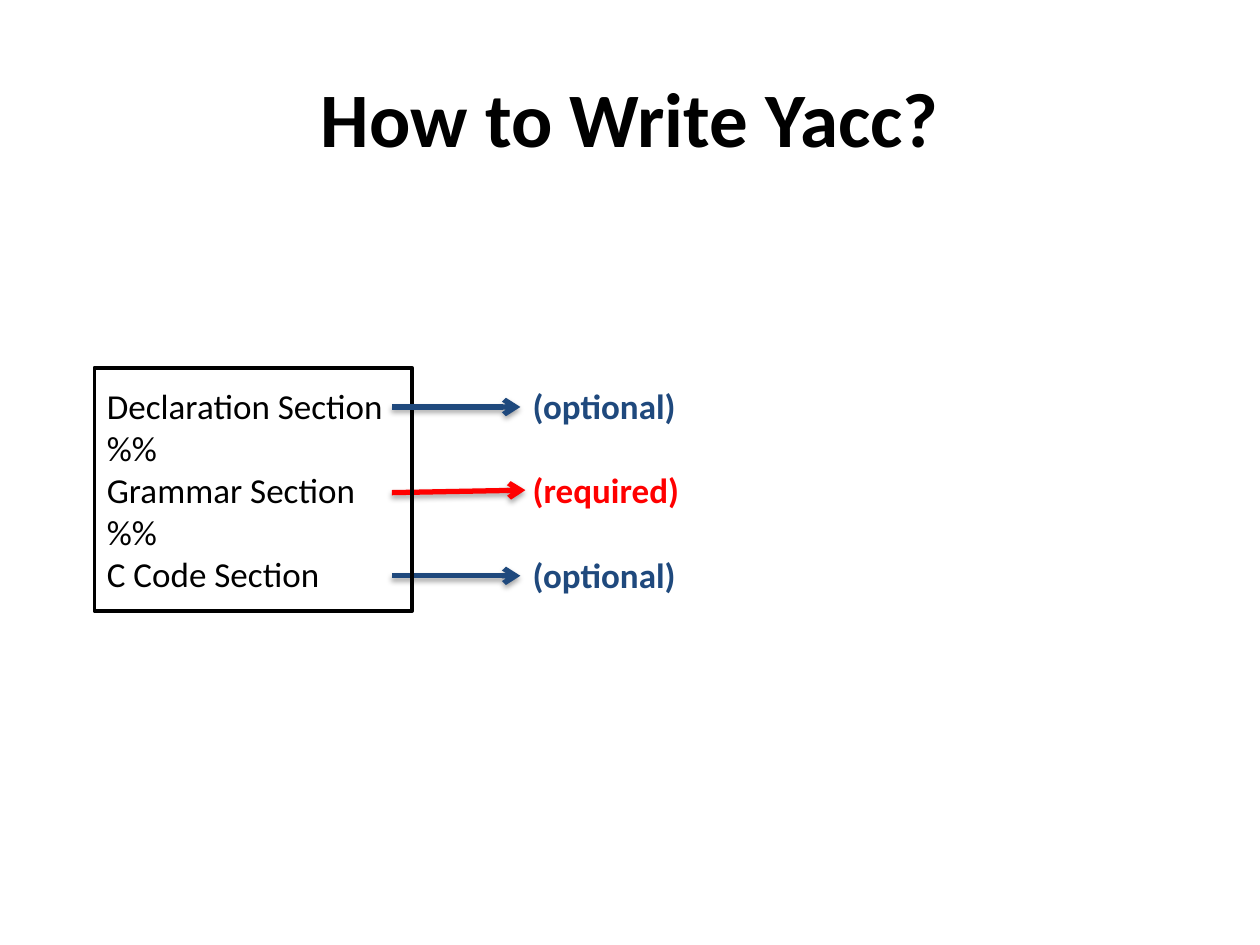
from dataclasses import dataclass

from lxml.etree import SubElement
from pptx import Presentation
from pptx.dml.color import RGBColor
from pptx.enum.shapes import MSO_CONNECTOR, MSO_SHAPE
from pptx.enum.text import MSO_ANCHOR, PP_ALIGN
from pptx.oxml.ns import qn
from pptx.util import Pt


@dataclass(frozen=True)
class Theme:
    font: str = "Calibri"
    title_size: int = 44
    body_size: int = 20
    black: str = "000000"
    red: str = "FF0000"
    blue: str = "1F497D"


THEME = Theme()
ROW_TOP = 216
ROW_PITCH = 48.24
ARROW_OFFSET = 16.56
ARROW_LEFT = 223.92
LABEL_LEFT = 297.36


def write_text(tf, text, size=THEME.body_size, color=THEME.black, bold=False,
               align=PP_ALIGN.LEFT, anchor=MSO_ANCHOR.TOP):
    tf.word_wrap = True
    tf.vertical_anchor = anchor
    tf.text = text
    for p in tf.paragraphs:
        p.alignment = align
        for r in p.runs:
            r.font.name = THEME.font
            r.font.size = Pt(size)
            r.font.bold = bold
            r.font.color.rgb = RGBColor.from_string(color)


def set_title(s, text):
    sp = s.shapes.title
    sp.left, sp.top, sp.width, sp.height = Pt(36), Pt(21.6), Pt(648), Pt(90)
    write_text(sp.text_frame, text, size=THEME.title_size, bold=True,
               align=PP_ALIGN.CENTER, anchor=MSO_ANCHOR.MIDDLE)


def add_label(s, text, top, color):
    sp = s.shapes.add_textbox(Pt(LABEL_LEFT), Pt(top), Pt(108), Pt(31.68))
    write_text(sp.text_frame, text, color=color, bold=True)


def add_shadow(sp):
    effects = SubElement(sp._element.spPr, qn("a:effectLst"))
    shadow = SubElement(effects, qn("a:outerShdw"), blurRad=str(Pt(3.1)),
                        dist=str(Pt(1.8)), dir="5400000", rotWithShape="0")
    color = SubElement(shadow, qn("a:srgbClr"), val=THEME.black)
    SubElement(color, qn("a:alpha"), val="35000")


def add_arrow(s, start, end, color):
    sp = s.shapes.add_connector(MSO_CONNECTOR.STRAIGHT,
                                *map(Pt, start), *map(Pt, end))
    sp.line.width = Pt(3)
    sp.line.color.rgb = RGBColor.from_string(color)
    SubElement(sp.line._get_or_add_ln(), qn("a:tailEnd"), type="arrow")
    add_shadow(sp)


def add_row(s, index, text, color, tip=LABEL_LEFT, rise=0):
    top = ROW_TOP + index * ROW_PITCH
    y = top + ARROW_OFFSET
    add_label(s, text, top, color)
    add_arrow(s, (ARROW_LEFT, y + rise / 2), (tip, y - rise / 2), color)


def add_section_box(s, lines):
    sp = s.shapes.add_shape(MSO_SHAPE.RECTANGLE,
                            Pt(54), Pt(210.24), Pt(181.44), Pt(138.96))
    sp.shadow.inherit = False
    sp.fill.background()
    sp.line.width = Pt(2.25)
    sp.line.color.rgb = RGBColor.from_string(THEME.black)
    write_text(sp.text_frame, "\n".join(lines), anchor=MSO_ANCHOR.MIDDLE)


def main():
    prs = Presentation()
    prs.slide_width, prs.slide_height = Pt(720), Pt(540)
    s = prs.slides.add_slide(prs.slide_layouts[5])
    set_title(s, "How to Write Yacc?")
    add_row(s, 1, "(required)", THEME.red, tip=300.24, rise=1.44)
    add_row(s, 2, "(optional)", THEME.blue)
    add_section_box(s, ["Declaration Section", "%%", "Grammar Section",
                        "%%", "C Code Section"])
    add_row(s, 0, "(optional)", THEME.blue)
    prs.save("out.pptx")


main()
